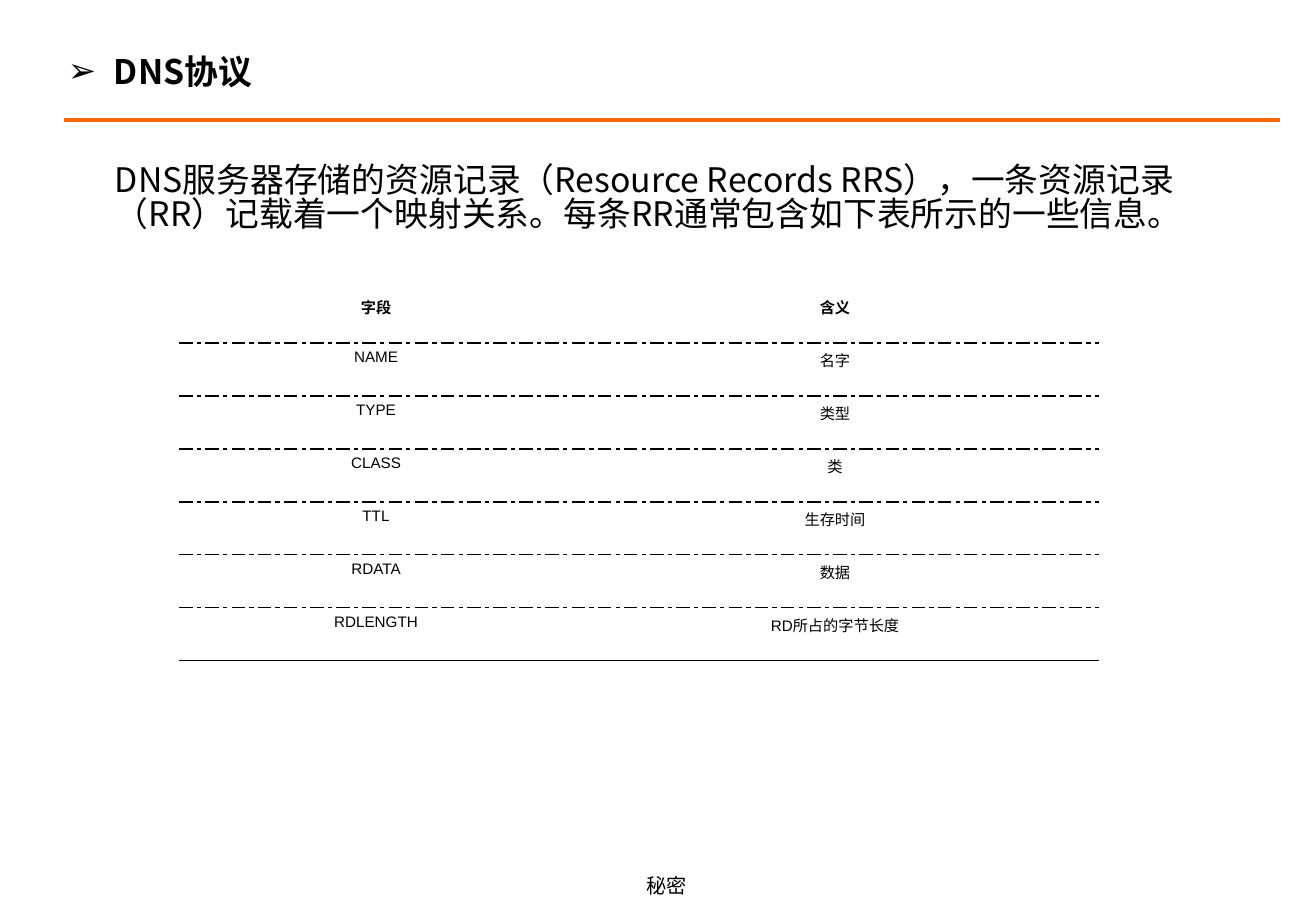
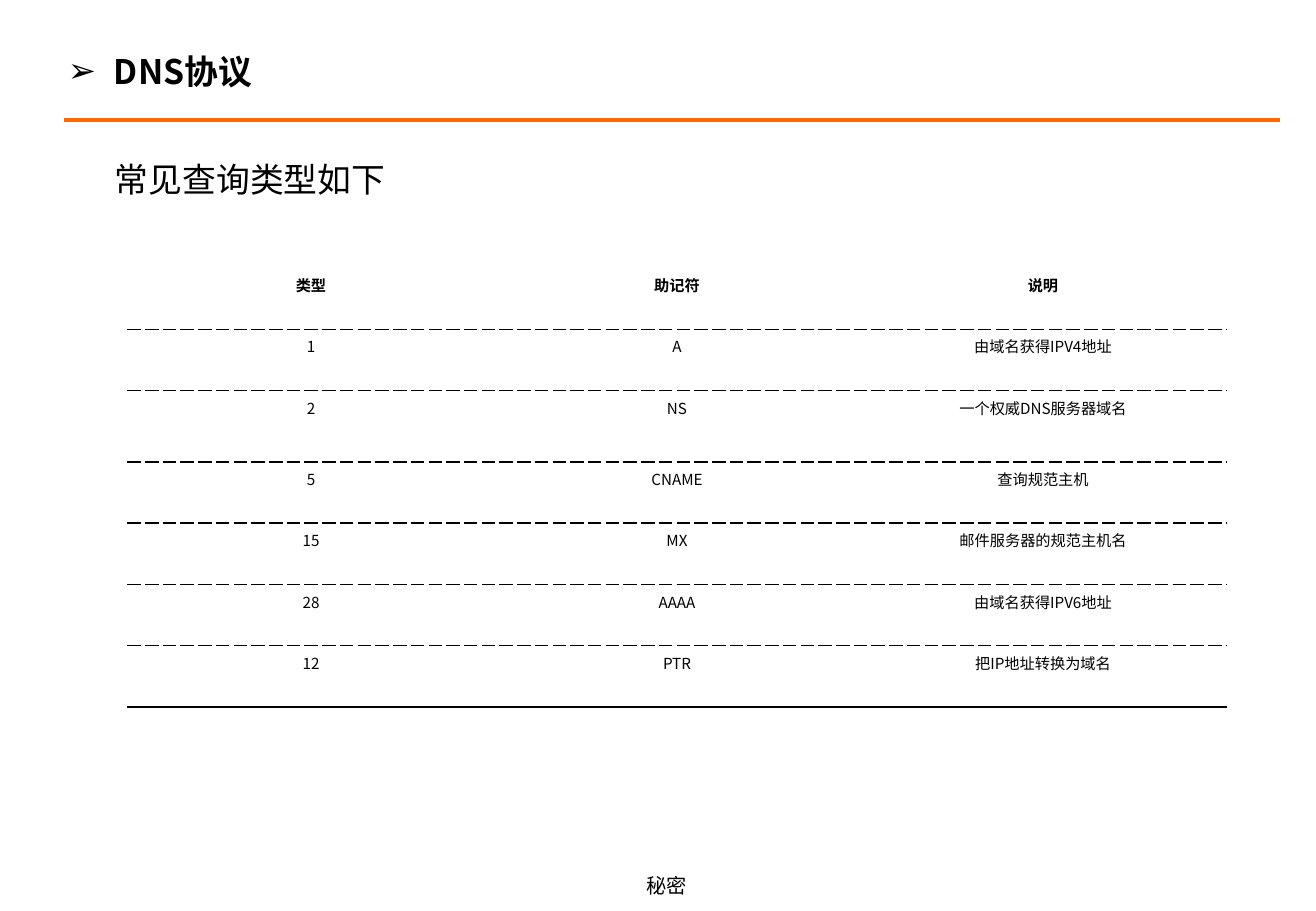
from dataclasses import dataclass

from lxml.etree import SubElement
from pptx import Presentation
from pptx.dml.color import RGBColor
from pptx.enum.shapes import MSO_CONNECTOR
from pptx.enum.text import MSO_ANCHOR, PP_ALIGN
from pptx.oxml.ns import qn
from pptx.util import Emu, Pt

EMU_PER_PX = 914400 / 121.5


@dataclass(frozen=True)
class Theme:
    ink: str = "000000"
    paper: str = "FFFFFF"
    accent: str = "FF6600"
    sans: str = "Noto Sans CJK SC"
    latin: str = "Arial"
    heading_size: int = 20
    footer_size: int = 12
    cell_size: int = 9
    rule_width: float = 2.25
    border_width: int = 1
    body_spacing: float = 0.85


THEME = Theme()


def px(length):
    return Emu(round(length * EMU_PER_PX))


def color(value):
    return RGBColor.from_string(value)


def style_paragraph(paragraph, size, name=THEME.sans, bold=False):
    """Set Latin and East Asian fonts alike on the paragraph and its runs."""
    font = paragraph.font
    font.size, font.name, font.bold = Pt(size), name, bold
    font.color.rgb = color(THEME.ink)
    for run in paragraph.runs:
        run.font.name = name
        properties = run.font._element
        SubElement(properties, qn("a:ea"), typeface=THEME.sans)


def add_text(slide, box, text, size, name=THEME.sans, bold=False, anchor=MSO_ANCHOR.TOP):
    frame = slide.shapes.add_textbox(*map(px, box)).text_frame
    frame.word_wrap = True
    frame.vertical_anchor = anchor
    frame.text = text
    paragraph = frame.paragraphs[0]
    style_paragraph(paragraph, size, name, bold)
    return paragraph


def add_title(slide, box, text):
    paragraph = add_text(slide, box, text, THEME.heading_size, bold=True,
                         anchor=MSO_ANCHOR.MIDDLE)
    properties = paragraph._p.get_or_add_pPr()
    indent = px(46)
    properties.set("marL", str(indent))
    properties.set("indent", str(-indent))
    bullet_font = SubElement(properties, qn("a:buFont"), typeface=THEME.latin)
    bullet = SubElement(properties, qn("a:buChar"), char="➢")
    properties.insert(0, bullet_font)
    properties.insert(1, bullet)


def add_rule(slide, left, top, width):
    rule = slide.shapes.add_connector(
        MSO_CONNECTOR.STRAIGHT, px(left), px(top), px(left + width), px(top))
    rule.line.color.rgb = color(THEME.accent)
    rule.line.width = Pt(THEME.rule_width)
    SubElement(rule._element.spPr, qn("a:effectLst"))


def add_footer(slide, box, text):
    paragraph = add_text(slide, box, text, THEME.footer_size, THEME.latin,
                         anchor=MSO_ANCHOR.MIDDLE)
    paragraph.alignment = PP_ALIGN.CENTER


def add_border(cell, side, value, dash="solid"):
    line = SubElement(cell._tc.get_or_add_tcPr(), qn(f"a:ln{side}"),
                      w=str(Pt(THEME.border_width)))
    fill = SubElement(line, qn("a:solidFill"))
    SubElement(fill, qn("a:srgbClr"), val=value)
    SubElement(line, qn("a:prstDash"), val=dash)


def add_ruled_table(slide, box, rows, columns, dash, body_font, extra=None):
    """Share the height equally among the rows, after the extra px of some rows."""
    extra = extra or {}
    height = (box[3] - sum(extra.values())) / len(rows)
    table = slide.shapes.add_table(len(rows), len(columns), *map(px, box)).table
    table.first_row = table.horz_banding = False
    for column, width in zip(table.columns, columns):
        column.width = px(width)
    last = len(rows) - 1
    for index, texts in enumerate(rows):
        table.rows[index].height = px(height + extra.get(index, 0))
        header = index == 0
        for column, text in enumerate(texts):
            cell = table.cell(index, column)
            cell.text = text
            paragraph = cell.text_frame.paragraphs[0]
            paragraph.alignment = PP_ALIGN.CENTER
            style_paragraph(paragraph, THEME.cell_size,
                            THEME.sans if header else body_font, header)
            for side in "LR":
                add_border(cell, side, THEME.paper)
            add_border(cell, "T", THEME.paper if header else THEME.ink,
                       "solid" if header else dash)
            add_border(cell, "B", THEME.ink, "solid" if index == last else dash)
            cell.fill.solid()
            cell.fill.fore_color.rgb = color(THEME.paper)


def add_table_slide(presentation, body, body_height, **table):
    slide = presentation.slides.add_slide(presentation.slide_layouts[6])
    add_rule(slide, 64, 120, 1216)
    add_footer(slide, (533, 867, 267, 36), "秘密")
    add_title(slide, (56, 44, 1244, 54), "DNS协议")
    paragraph = add_text(slide, (103, 159, 1175, body_height), body, THEME.heading_size)
    paragraph.line_spacing = THEME.body_spacing
    add_ruled_table(slide, **table)


def main():
    presentation = Presentation()
    presentation.slide_width, presentation.slide_height = px(1316), px(911)
    add_table_slide(
        presentation,
        "DNS服务器存储的资源记录（Resource Records RRS），一条资源记录（RR）"
        "记载着一个映射关系。每条RR通常包含如下表所示的一些信息。",
        176,
        box=(180, 290, 918, 371),
        columns=(392, 526),
        dash="sysDashDot",
        body_font=THEME.latin,
        rows=(
            ("字段", "含义"),
            ("NAME", "名字"),
            ("TYPE", "类型"),
            ("CLASS", "类"),
            ("TTL", "生存时间"),
            ("RDATA", "数据"),
            ("RDLENGTH", "RD所占的字节长度"),
        ),
    )
    add_table_slide(
        presentation,
        "常见查询类型如下",
        53,
        box=(128, 268, 1098, 439),
        columns=(366, 366, 366),
        dash="sysDash",
        body_font=THEME.sans,
        extra={2: 10},
        rows=(
            ("类型", "助记符", "说明"),
            ("1", "A", "由域名获得IPV4地址"),
            ("2", "NS", "一个权威DNS服务器域名"),
            ("5", "CNAME", "查询规范主机"),
            ("15", "MX", "邮件服务器的规范主机名"),
            ("28", "AAAA", "由域名获得IPV6地址"),
            ("12", "PTR", "把IP地址转换为域名"),
        ),
    )
    presentation.save("out.pptx")


if __name__ == "__main__":
    main()
